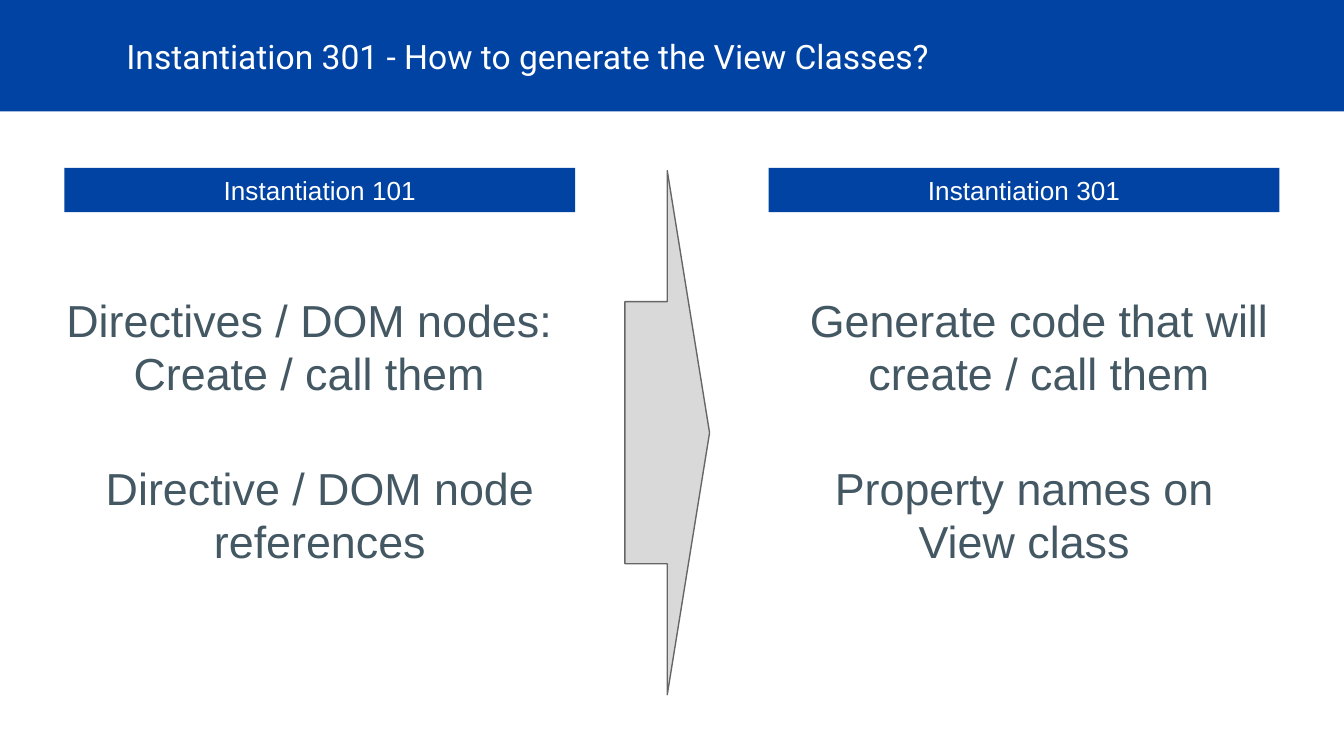
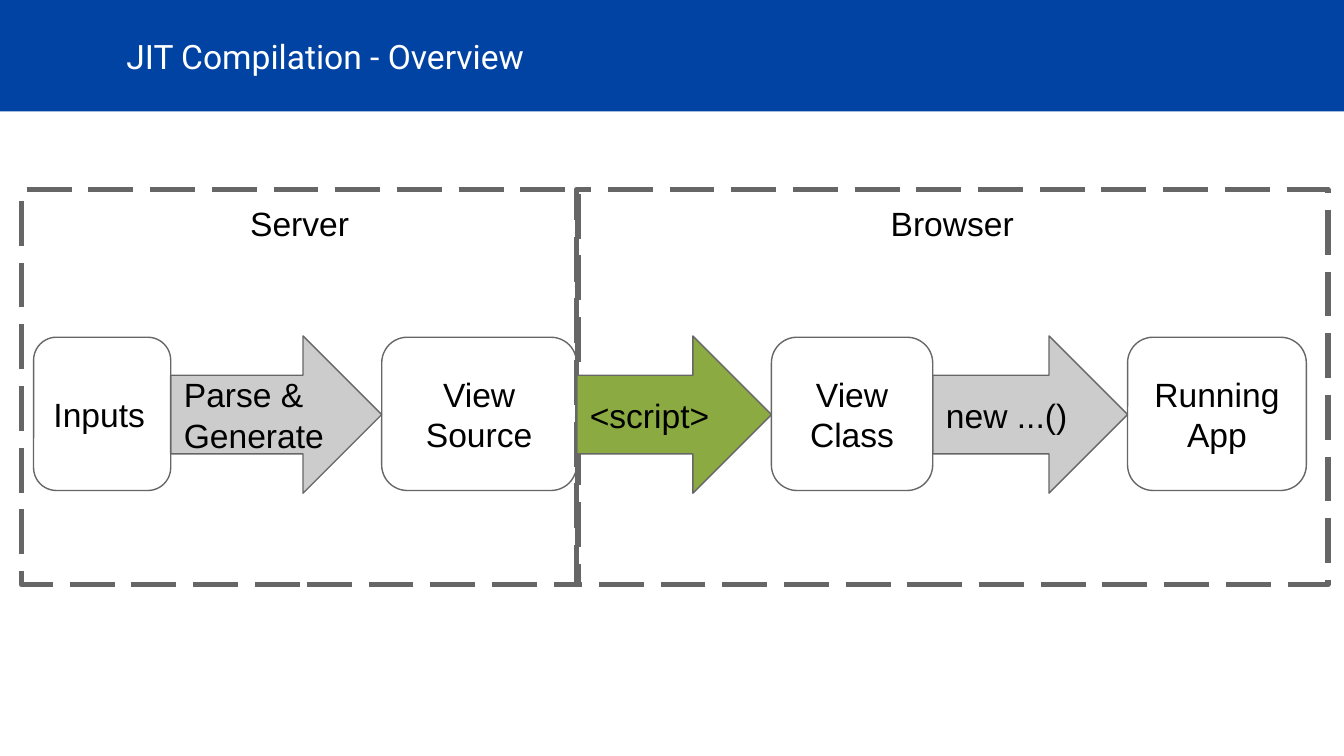
from itertools import accumulate

from pptx import Presentation
from pptx.dml.color import RGBColor
from pptx.enum.dml import MSO_LINE
from pptx.enum.shapes import MSO_SHAPE as Shape
from pptx.enum.text import MSO_ANCHOR as Anchor, PP_ALIGN as Align
from pptx.util import Inches, Pt

CELL = 0.1  # inches: the grid has 100 columns and 56.25 rows
COLUMNS, ROWS = 100, 56.25
BAND_ROWS = 8.3

BLUE, WHITE, BLACK = "0143A3", "FFFFFF", "000000"
SLATE, OUTLINE = "445863", "666666"
PALE_GREY, GREY, GREEN = "D9D9D9", "CCCCCC", "8BAB42"


def color(hex_text):
    return RGBColor.from_string(hex_text)


def cells(*counts):
    return [Inches(count * CELL) for count in counts]


def write(box, text, size, ink, font="Arial", align=Align.CENTER, anchor=Anchor.MIDDLE):
    frame = box.text_frame
    frame.word_wrap = True
    frame.vertical_anchor = anchor
    frame.margin_left = frame.margin_right = Inches(0.1)
    frame.margin_top = frame.margin_bottom = Inches(0.1)
    para = frame.paragraphs[0]
    para.alignment = align
    span = para.add_run()
    span.text = text
    span.font.size = Pt(size)
    span.font.name = font
    span.font.color.rgb = color(ink)


def add_figure(page, kind, place, fill=None, line=None, weight=0.75):
    figure = page.shapes.add_shape(kind, *cells(*place))
    figure.shadow.inherit = False
    if fill:
        figure.fill.solid()
        figure.fill.fore_color.rgb = color(fill)
    else:
        figure.fill.background()
    if line:
        figure.line.color.rgb = color(line)
        figure.line.width = Pt(weight)
    else:
        figure.line.fill.background()
    return figure


def add_page(deck, layout, title):
    page = deck.slides.add_slide(layout)
    heading = page.shapes.title
    heading.left, heading.top, heading.width, heading.height = cells(8.4, 0, 87.2, BAND_ROWS)
    write(heading, title, 18, WHITE, "Roboto", Align.LEFT)
    return page


def move_band_to_layout(page, layout):
    """Draw the title band once and let every page of the layout show it."""
    band = add_figure(page, Shape.RECTANGLE, (0, 0, COLUMNS, BAND_ROWS), BLUE)
    layout.placeholders[0].element.addprevious(band.element)


def add_heading(page, left, text):
    bar = add_figure(page, Shape.RECTANGLE, (left, 12.5, 38, 3.3), BLUE)
    write(bar, text, 14, WHITE)


def add_statement(page, place, text):
    write(page.shapes.add_textbox(*cells(*place)), text, 24, SLATE)


def add_zone(page, left, width, name):
    zone = add_figure(page, Shape.RECTANGLE, (left, 14.1, width, 29.4), None, OUTLINE, 3)
    zone.line.dash_style = MSO_LINE.LONG_DASH
    write(zone, name, 18, BLACK, anchor=Anchor.TOP)


def add_arrow(page, left, width, text, fill):
    arrow = add_figure(page, Shape.RIGHT_ARROW, (left, 25, width, 11.7), fill, OUTLINE)
    write(arrow, text, 18, BLACK, align=Align.LEFT)


def add_stage(page, left, width, text, align):
    stage = add_figure(page, Shape.ROUNDED_RECTANGLE, (left, 25.1, width, 11.4), None, OUTLINE)
    write(stage, text, 18, BLACK, align=align)


def fill_comparison(page):
    left, right = 4.8, 57.2
    upper, lower, height = 19.5, 32, 12.5
    add_heading(page, left, "Instantiation 101")
    add_figure(page, Shape.RIGHT_ARROW, (46.5, 12.7, 6.3, 39), PALE_GREY, OUTLINE)
    add_heading(page, right, "Instantiation 301")
    add_statement(page, (3.2, upper, 39.6, height), "Directives / DOM nodes: Create / call them")
    add_statement(page, (left, lower, 38, height), "Directive / DOM node references")
    add_statement(page, (right, upper, 40.2, height), "Generate code that will create / call them")
    add_statement(page, (right, lower, 38, height), "Property names on View class")


def fill_pipeline(page):
    add_zone(page, 1.6, 41.4, "Server")
    add_zone(page, 42.9, 55.9, "Browser")

    # Stages and arrows alternate and touch, so each starts where the last ends.
    widths = [10.2, 15.7, 14.5, 14.5, 12, 14.5, 13.3]
    spans = list(zip(accumulate(widths, initial=2.5), widths))
    arrows = [("Parse & Generate", GREY), ("<script>", GREEN), ("new ...()", GREY)]
    stages = [("Inputs", Align.LEFT), ("View Source", Align.CENTER),
              ("View Class", Align.CENTER), ("Running App", Align.CENTER)]
    for span, arrow in zip(spans[1::2], arrows):
        add_arrow(page, *span, *arrow)
    for span, stage in zip(spans[::2], stages):
        add_stage(page, *span, *stage)


def main():
    deck = Presentation()
    deck.slide_width, deck.slide_height = cells(COLUMNS, ROWS)
    layout = deck.slide_layouts.get_by_name("Title Only")

    comparison = add_page(deck, layout, "Instantiation 301 - How to generate the View Classes?")
    move_band_to_layout(comparison, layout)
    fill_comparison(comparison)
    fill_pipeline(add_page(deck, layout, "JIT Compilation - Overview"))

    deck.save("out.pptx")


if __name__ == "__main__":
    main()
